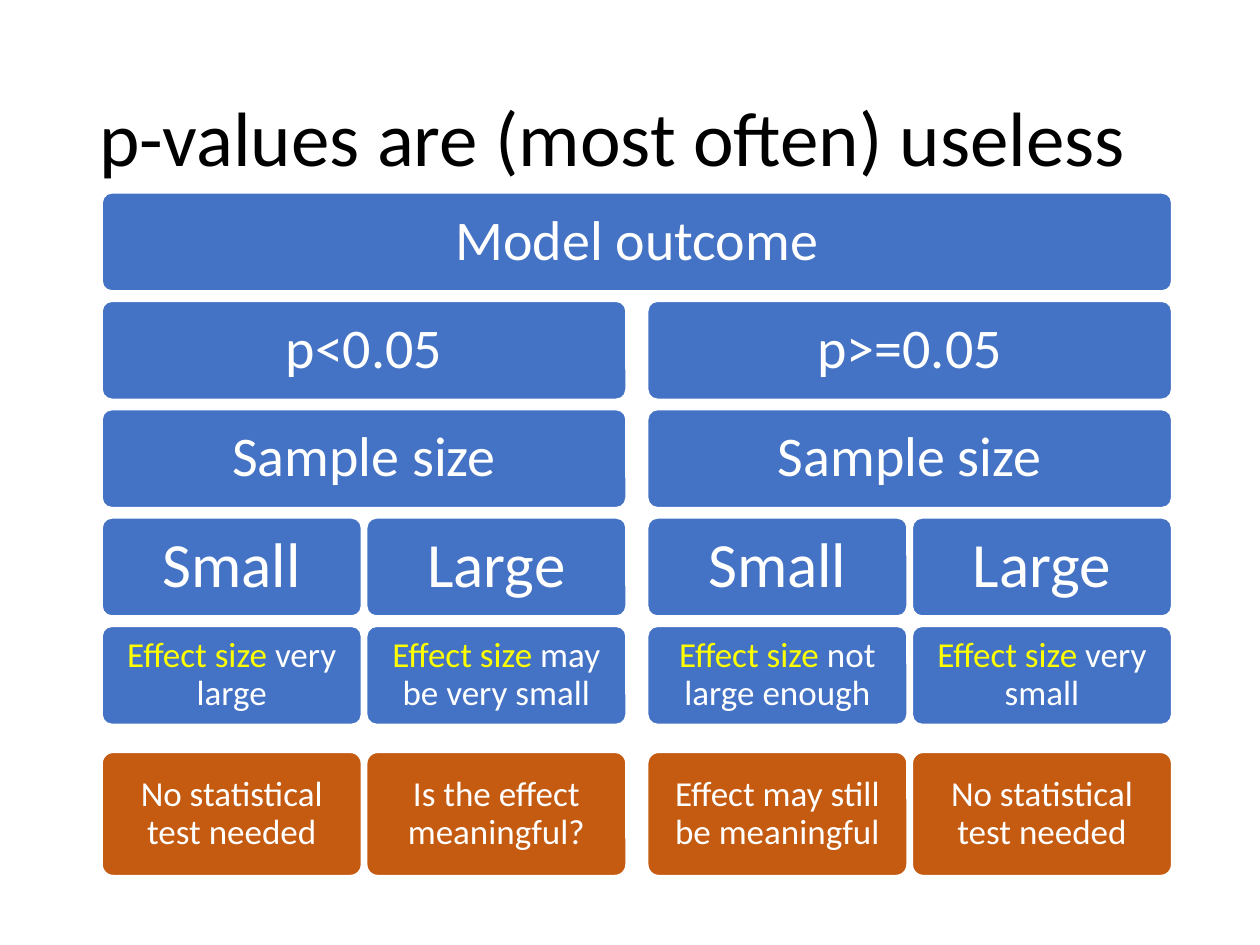
import pptx
import pptx.util
import pptx.dml.color
import pptx.enum.shapes
import pptx.enum.text

Inches = pptx.util.Inches
Pt = pptx.util.Pt

COLORS = {"blue": "4472C4", "orange": "C55A11", "yellow": "FFFF00", "white": "FFFFFF", "black": "000000"}

LEFT, TOP = 0.81, 1.53
COLUMN_WIDTH, COLUMN_PITCH, GROUP_PITCH = 2.06, 2.1, 4.33
ROW_HEIGHT, ROW_PITCH = 0.78, 0.86
ACTION_TOP, ACTION_HEIGHT = 5.97, 0.98


def rgb(name):
    return pptx.dml.color.RGBColor.from_string(COLORS[name])


def column_left(column):
    return LEFT + column // 2 * GROUP_PITCH + column % 2 * COLUMN_PITCH


presentation = pptx.Presentation()
presentation.slide_width = Inches(10)
presentation.slide_height = Inches(7.5)
slide = presentation.slides.add_slide(presentation.slide_layouts[6])

title = slide.shapes.add_textbox(Inches(0.69), Inches(0.4), Inches(8.62), Inches(1.45))
title.text_frame.word_wrap = True
title.text_frame.vertical_anchor = pptx.enum.text.MSO_ANCHOR.MIDDLE
title.text_frame.text = "p-values are (most often) useless"
paragraph = title.text_frame.paragraphs[0]
paragraph.line_spacing = 0.9
font = paragraph.runs[0].font
font.name = "Calibri"
font.size = Pt(44)
font.color.rgb = rgb("black")

highlight = "Effect size "
rows = [
    (["Model outcome"], 32, 0.14, "blue"),
    (["p<0.05", "p>=0.05"], 32, 0.14, "blue"),
    (["Sample size", "Sample size"], 32, 0.14, "blue"),
    (["Small", "Large", "Small", "Large"], 36, 0.15, "blue"),
    ([highlight + ending for ending in ("very large", "may be very small", "not large enough", "very small")],
     20, 0.09, "blue"),
    (["No statistical test needed", "Is the effect meaningful?",
      "Effect may still be meaningful", "No statistical test needed"], 20, 0.09, "orange"),
]

for row, (labels, size, margin, fill) in enumerate(rows):
    is_action = fill == "orange"
    top = ACTION_TOP if is_action else TOP + row * ROW_PITCH
    height = ACTION_HEIGHT if is_action else ROW_HEIGHT
    span = 4 // len(labels)
    for index, label in enumerate(labels):
        left = column_left(index * span)
        width = column_left((index + 1) * span - 1) + COLUMN_WIDTH - left
        shape = slide.shapes.add_shape(
            pptx.enum.shapes.MSO_SHAPE.ROUNDED_RECTANGLE,
            Inches(left), Inches(top), Inches(width), Inches(height))
        shape.adjustments[0] = 0.09 if is_action else 0.1
        shape.shadow.inherit = False
        shape.fill.solid()
        shape.fill.fore_color.rgb = rgb(fill)
        shape.line.color.rgb = rgb("white")
        shape.line.width = Pt(1)

        frame = shape.text_frame
        frame.word_wrap = True
        frame.vertical_anchor = pptx.enum.text.MSO_ANCHOR.MIDDLE
        frame.margin_left = frame.margin_right = Inches(margin)
        frame.margin_top = frame.margin_bottom = Inches(margin)
        paragraph = frame.paragraphs[0]
        paragraph.alignment = pptx.enum.text.PP_ALIGN.CENTER
        paragraph.line_spacing = 0.9
        if label.startswith(highlight):
            parts = [(highlight, "yellow"), (label[len(highlight):], "white")]
        else:
            parts = [(label, "white")]
        for text, color in parts:
            run = paragraph.add_run()
            run.text = text
            run.font.name = "Calibri"
            run.font.size = Pt(size)
            run.font.color.rgb = rgb(color)

presentation.save("out.pptx")
